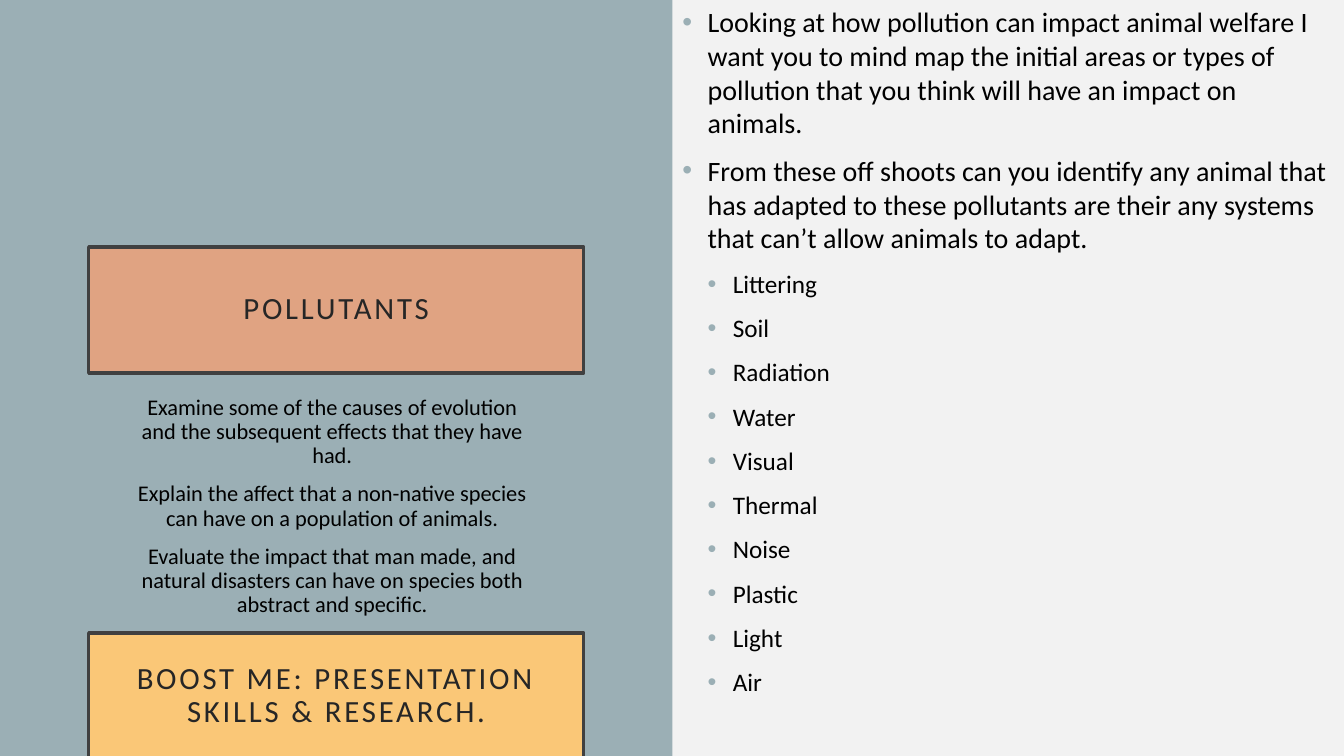
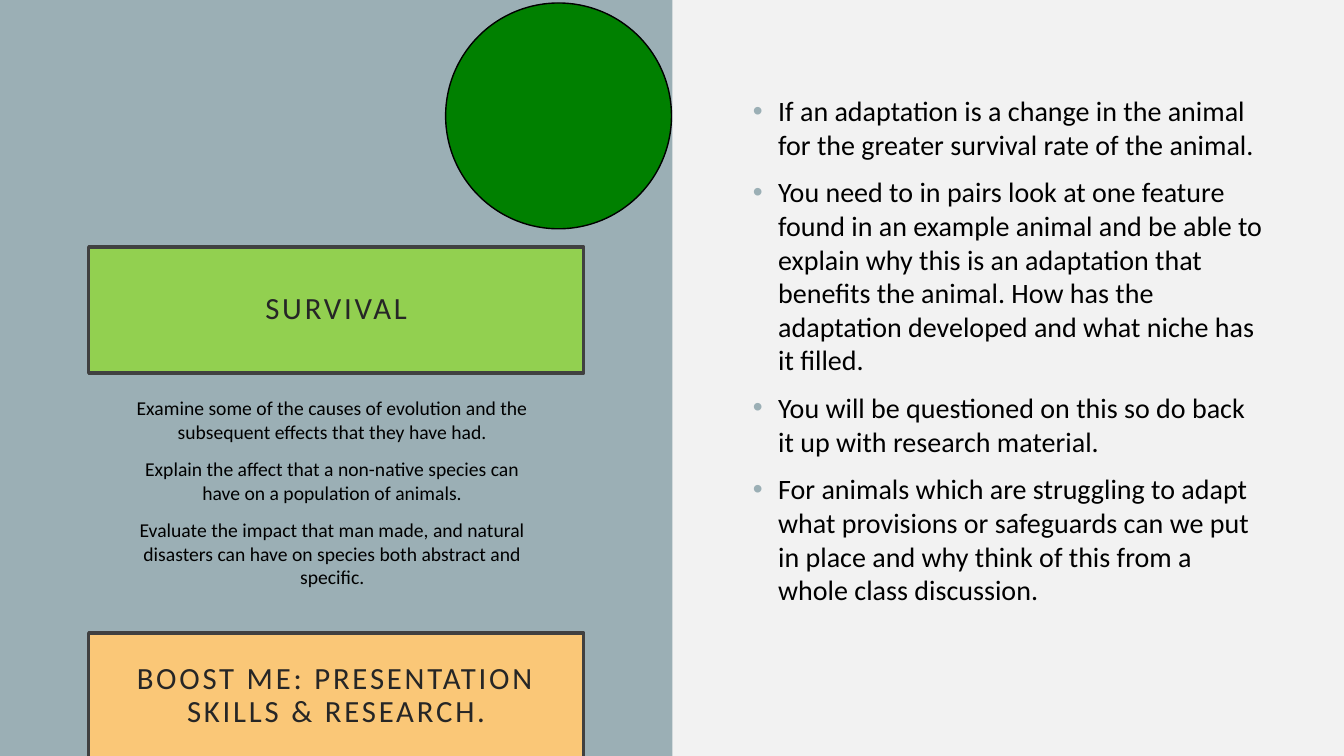
from dataclasses import dataclass
from typing import Any, Optional

from lxml import etree
from pptx import Presentation
from pptx import util as u
from pptx.dml.color import RGBColor
from pptx.enum import shapes, text
from pptx.oxml import ns


@dataclass(frozen=True)
class Theme:
    font: str = "Calibri"
    paper: str = "F2F2F2"
    panel: str = "9BAFB5"
    frame: str = "404040"
    heading: str = "262626"
    ink: str = "000000"
    clay: str = "E0A382"
    lime: str = "92D050"
    amber: str = "FAC777"
    green: str = "008000"
    heading_size: float = 22
    body_sizes: tuple[float, ...] = (20, 18)
    frame_width: float = 2.5
    tracking: int = 200
    gap: float = 10


@dataclass(frozen=True)
class Area:
    left: float
    top: float
    width: float
    height: float

    def lengths(self) -> list[u.Length]:
        return [u.Inches(n) for n in (self.left, self.top, self.width, self.height)]


@dataclass(frozen=True)
class Bullet:
    words: str
    level: int = 0


@dataclass(frozen=True)
class Lesson:
    title: str
    title_fill: str
    aims_size: float
    aims_spacing: float
    body: Area
    bullets: tuple[Bullet, ...]
    disc: Optional[Area] = None


THEME = Theme()
WIDTH, HEIGHT = 13.33, 7.5
PANEL = Area(0, 0, 6.67, HEIGHT)
TITLE = Area(0.88, 2.45, 4.91, 1.25)
BOOST = Area(0.88, 6.28, 4.91, 1.25)
AIMS = Area(1.22, 3.88, 4.15, 2.4)
INDENT = 0.25
BOOST_WORDS = "BOOST ME: PRESENTATION SKILLS & RESEARCH."
AIM_WORDS = (
    "Examine some of the causes of evolution and the subsequent effects that they have had.",
    "Explain the affect that a non-native species can have on a population of animals.",
    "Evaluate the impact that man made, and natural disasters can have on species both "
    "abstract and specific.",
)
POLLUTANTS = ("Littering", "Soil", "Radiation", "Water", "Visual",
              "Thermal", "Noise", "Plastic", "Light", "Air")

LESSONS = (
    Lesson(
        "POLLUTANTS", THEME.clay, 16, 0.9, Area(6.67, 0, 6.67, 7.53),
        (
            Bullet("Looking at how pollution can impact animal welfare I want you to mind map "
                   "the initial areas or types of pollution that you think will have an impact "
                   "on animals."),
            Bullet("From these off shoots can you identify any animal that has adapted to these "
                   "pollutants are their any systems that can’t allow animals to adapt."),
            *(Bullet(name, 1) for name in POLLUTANTS),
        ),
    ),
    Lesson(
        "SURVIVAL", THEME.lime, 14, 1.0, Area(7.37, 0.88, 5.27, 5.74),
        (
            Bullet("If an adaptation is a change in the animal for the greater survival rate of "
                   "the animal."),
            Bullet("You need to in pairs look at one feature found in an example animal and be "
                   "able to explain why this is an adaptation that benefits the animal. How has "
                   "the adaptation developed and what niche has it filled."),
            Bullet("You will be questioned on this so do back it up with research material."),
            Bullet("For animals which are struggling to adapt what provisions or safeguards can "
                   "we put in place and why think of this from a whole class discussion."),
        ),
        Area(4.42, 0.03, 2.24, 2.24),
    ),
)


def apply(target: Any, values: dict[str, Any]) -> None:
    for name, value in values.items():
        setattr(target, name, value)


def add_block(page: Any, area: Area, fill: str, line: Optional[str] = None, weight: float = 1,
              kind: Any = shapes.MSO_SHAPE.RECTANGLE) -> Any:
    block = page.shapes.add_shape(kind, *area.lengths())
    block.shadow.inherit = False
    block.fill.solid()
    block.fill.fore_color.rgb = RGBColor.from_string(fill)
    if line is None:
        block.line.fill.background()
    else:
        block.line.color.rgb = RGBColor.from_string(line)
        block.line.width = u.Pt(weight)
    return block


def add_span(para: Any, words: str, size: float, color: str) -> Any:
    span = para.add_run()
    span.text = words
    apply(span.font, {"name": THEME.font, "size": u.Pt(size)})
    span.font.color.rgb = RGBColor.from_string(color)
    return span


def add_heading(page: Any, area: Area, words: str, fill: str) -> None:
    box = add_block(page, area, fill, THEME.frame, THEME.frame_width)
    inset = u.Inches(0.2)
    apply(box.text_frame, {
        "word_wrap": True, "vertical_anchor": text.MSO_ANCHOR.MIDDLE,
        "margin_left": inset, "margin_right": inset,
        "margin_top": inset, "margin_bottom": inset,
    })
    para = box.text_frame.paragraphs[0]
    apply(para, {"alignment": text.PP_ALIGN.CENTER, "line_spacing": 0.9})
    span = add_span(para, words, THEME.heading_size, THEME.heading)
    span.font._element.set("spc", str(THEME.tracking))


def add_paras(page: Any, area: Area, count: int) -> list[Any]:
    frame = page.shapes.add_textbox(*area.lengths()).text_frame
    frame.word_wrap = True
    paras = [frame.paragraphs[0]] + [frame.add_paragraph() for _ in range(count - 1)]
    for para in paras[1:]:
        para.space_before = u.Pt(THEME.gap)
    return paras


def add_aims(page: Any, size: float, spacing: float) -> None:
    for para, words in zip(add_paras(page, AIMS, len(AIM_WORDS)), AIM_WORDS):
        apply(para, {"alignment": text.PP_ALIGN.CENTER, "line_spacing": spacing})
        add_span(para, words, size, THEME.ink)


def mark_bullet(para: Any, level: int) -> None:
    para.level = level
    props = para._p.get_or_add_pPr()
    props.set("marL", str(u.Inches(INDENT * (level + 1))))
    props.set("indent", str(u.Inches(-INDENT)))
    color = etree.SubElement(props, ns.qn("a:buClr"))
    etree.SubElement(color, ns.qn("a:srgbClr"), val=THEME.panel)
    etree.SubElement(props, ns.qn("a:buFont"), typeface="Arial")
    etree.SubElement(props, ns.qn("a:buChar"), char="•")


def add_bullets(page: Any, area: Area, bullets: tuple[Bullet, ...]) -> None:
    for para, bullet in zip(add_paras(page, area, len(bullets)), bullets):
        mark_bullet(para, bullet.level)
        add_span(para, bullet.words, THEME.body_sizes[bullet.level], THEME.ink)


def add_lesson(deck: Any, lesson: Lesson) -> None:
    page = deck.slides.add_slide(deck.slide_layouts[6])
    add_block(page, PANEL, THEME.panel)
    add_heading(page, TITLE, lesson.title, lesson.title_fill)
    add_bullets(page, lesson.body, lesson.bullets)
    add_aims(page, lesson.aims_size, lesson.aims_spacing)
    add_heading(page, BOOST, BOOST_WORDS, THEME.amber)
    if lesson.disc:
        add_block(page, lesson.disc, THEME.green, THEME.ink, kind=shapes.MSO_SHAPE.OVAL)


def main() -> None:
    deck = Presentation()
    apply(deck, {"slide_width": u.Inches(WIDTH), "slide_height": u.Inches(HEIGHT)})
    backdrop = deck.slide_master.background.fill
    backdrop.solid()
    backdrop.fore_color.rgb = RGBColor.from_string(THEME.paper)
    for lesson in LESSONS:
        add_lesson(deck, lesson)
    deck.save("out.pptx")


if __name__ == "__main__":
    main()
